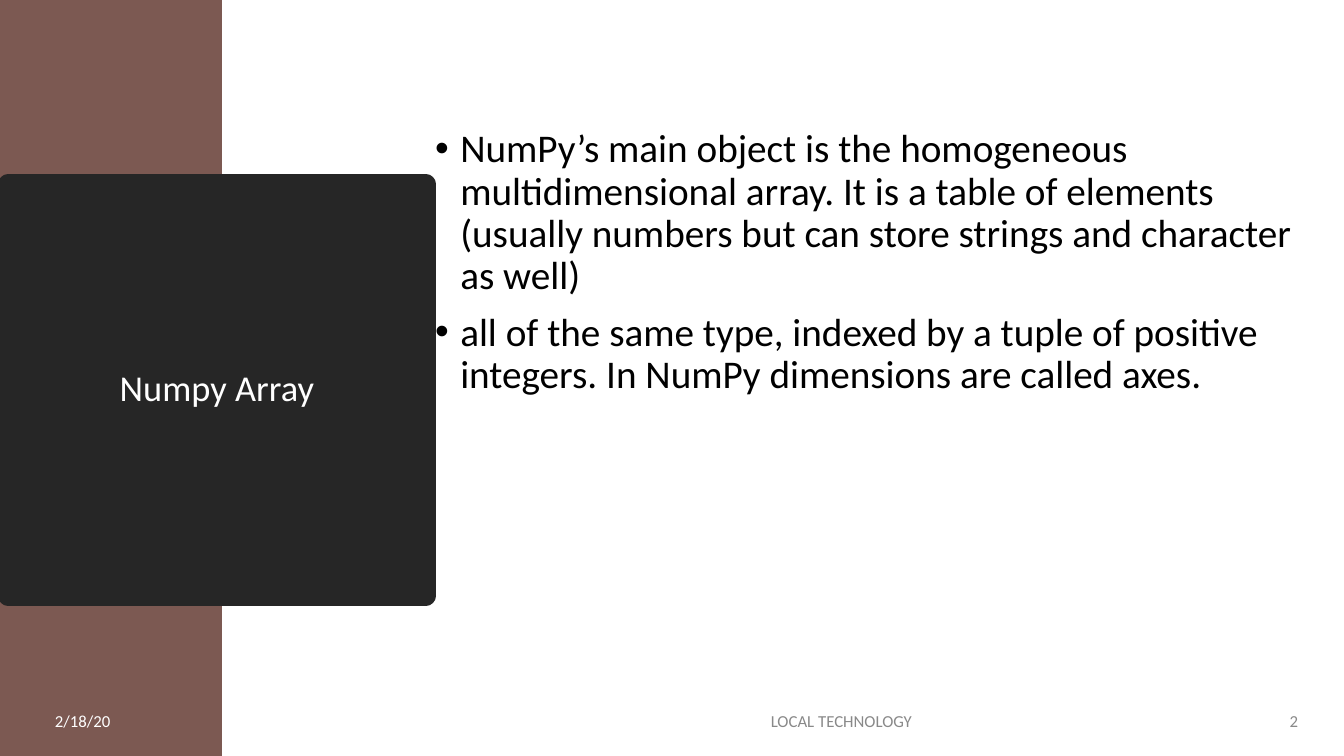
import pptx
import pptx.util
import pptx.dml.color
import pptx.enum.shapes
import pptx.enum.text
import pptx.oxml.ns
from lxml import etree

EMU_PER_PX = 914400 / 100.8
FONT = "Calibri"
DARK, WHITE, GREY = "262626", "FFFFFF", "898989"
ALIGN = pptx.enum.text.PP_ALIGN
ANCHOR = pptx.enum.text.MSO_ANCHOR

BULLETS = [
    "NumPy’s main object is the homogeneous multidimensional array. It is a table "
    "of elements (usually numbers but can store strings and character as well)",
    "all of the same type, indexed by a tuple of positive integers. "
    "In NumPy dimensions are called axes.",
]

FOOTER_TOP, FOOTER_HEIGHT = 701, 40
FOOTERS = [  # text, left, width, alignment, colour
    ("2/18/20", 45, 163, ALIGN.LEFT, WHITE),
    ("LOCAL TECHNOLOGY", 454, 775, ALIGN.CENTER, GREY),
    ("2", 1247, 61, ALIGN.RIGHT, GREY),
]


def px(length):
    return pptx.util.Emu(round(length * EMU_PER_PX))


def colour(value):
    return pptx.dml.color.RGBColor.from_string(value)


def place(shape, left, top, width, height):
    shape.left, shape.top = px(left), px(top)
    shape.width, shape.height = px(width), px(height)


def fill(shape, value):
    shape.fill.solid()
    shape.fill.fore_color.rgb = colour(value)


def set_frame(shape, anchor):
    frame = shape.text_frame
    frame.word_wrap = True
    frame.auto_size = pptx.enum.text.MSO_AUTO_SIZE.NONE
    frame.vertical_anchor = anchor
    return frame


def format_runs(para, size, value):
    for span in para.runs:
        span.font.name = FONT
        span.font.size = pptx.util.Pt(size)
        span.font.color.rgb = colour(value)


def add_band(page):
    band = page.shapes.add_shape(
        pptx.enum.shapes.MSO_SHAPE.RECTANGLE, 0, 0, px(222), px(756))
    band.shadow.inherit = False
    fill(band, "7C5952")
    band.line.fill.background()
    # Behind the placeholders
    page.shapes._spTree.insert(2, band._element)


def set_title(title, text):
    place(title, 8, 184, 418, 412)
    outline = etree.SubElement(
        title._element.spPr, pptx.oxml.ns.qn("a:prstGeom"), prst="ellipse")
    etree.SubElement(outline, pptx.oxml.ns.qn("a:avLst"))
    fill(title, DARK)
    title.line.color.rgb = colour(DARK)
    title.line.width = pptx.util.Pt(13.75)
    frame = set_frame(title, ANCHOR.MIDDLE)
    frame.text = text
    para = frame.paragraphs[0]
    para.alignment = ALIGN.CENTER
    para.line_spacing = 0.9
    format_runs(para, 26, WHITE)


def set_bullets(body, items):
    place(body, 425, 124, 883, 450)
    frame = set_frame(body, ANCHOR.TOP)
    frame.text = "\n".join(items)
    for index, para in enumerate(frame.paragraphs):
        properties = para._p.get_or_add_pPr()
        properties.set("marL", str(pptx.util.Inches(0.25)))
        properties.set("indent", str(-pptx.util.Inches(0.25)))
        etree.SubElement(properties, pptx.oxml.ns.qn("a:buFont"), typeface="Arial")
        etree.SubElement(properties, pptx.oxml.ns.qn("a:buChar"), char="•")
        para.line_spacing = 0.9
        para.space_before = pptx.util.Pt(10 if index else 0)
        format_runs(para, 28, "000000")


def add_footer(page, text, left, width, alignment, value):
    box = page.shapes.add_textbox(
        px(left), px(FOOTER_TOP), px(width), px(FOOTER_HEIGHT))
    frame = set_frame(box, ANCHOR.MIDDLE)
    frame.text = text
    para = frame.paragraphs[0]
    para.alignment = alignment
    para.space_after = pptx.util.Pt(6)
    format_runs(para, 12, value)


def main():
    deck = pptx.Presentation()
    deck.slide_width, deck.slide_height = px(1344), px(756)
    page = deck.slides.add_slide(deck.slide_layouts[1])

    # Side band and title
    add_band(page)
    set_title(page.shapes.title, "Numpy Array")

    # Body list
    set_bullets(page.placeholders[1], BULLETS)

    # Date, footer and page number
    for footer in FOOTERS:
        add_footer(page, *footer)

    deck.save("out.pptx")


if __name__ == "__main__":
    main()
